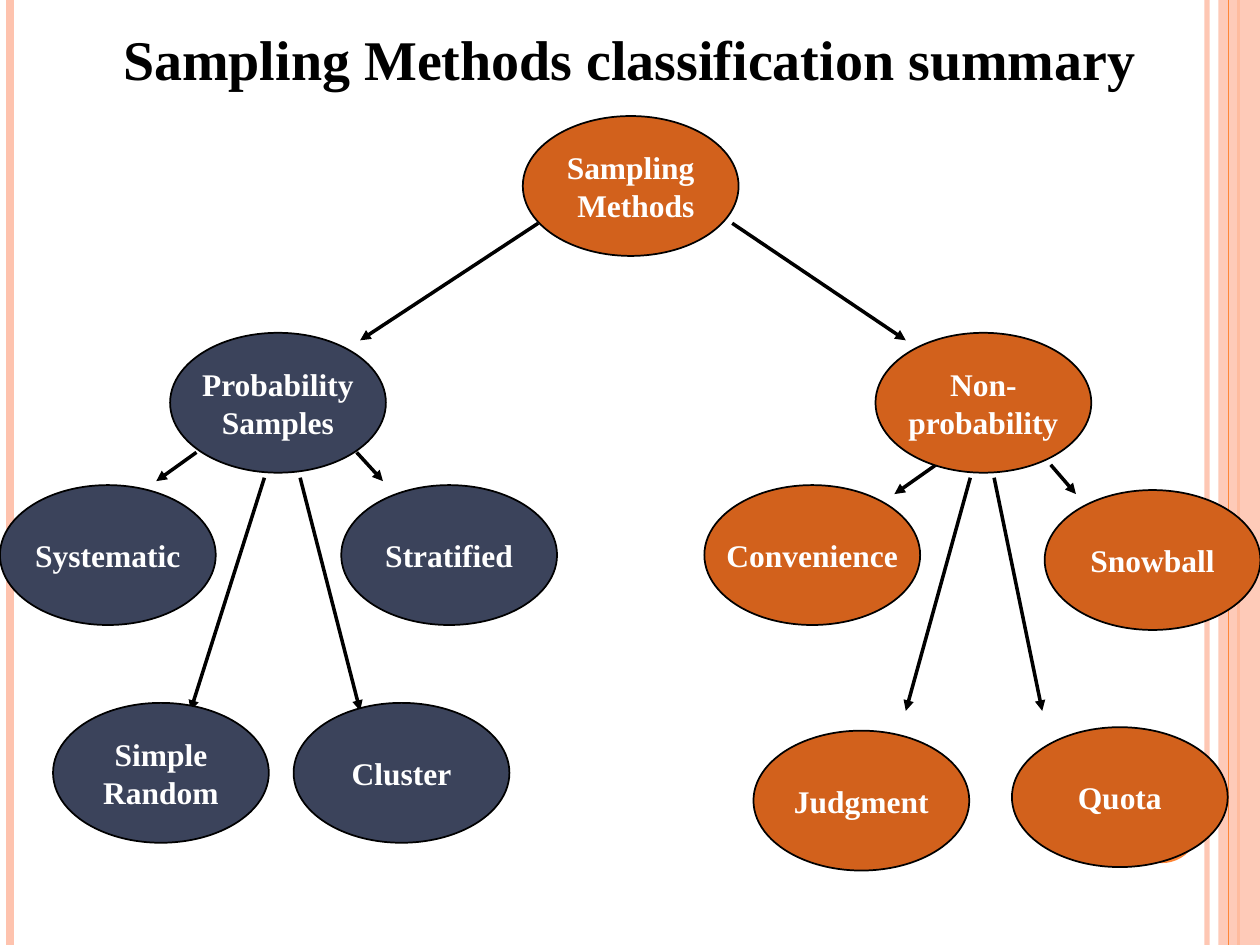
import dataclasses

import pptx
import pptx.dml.color
import pptx.enum.shapes
import pptx.enum.text
import pptx.oxml
import pptx.oxml.ns
import pptx.util

Cm = pptx.util.Cm
Pt = pptx.util.Pt
RGBColor = pptx.dml.color.RGBColor
Shape = pptx.enum.shapes.MSO_SHAPE
Align = pptx.enum.text.PP_ALIGN

BLACK = RGBColor(0x00, 0x00, 0x00)
WHITE = RGBColor(0xFF, 0xFF, 0xFF)
RUST = RGBColor(0xD2, 0x61, 0x1C)
NAVY = RGBColor(0x3B, 0x43, 0x5B)
PEACH = RGBColor(0xFE, 0xC3, 0xAE)
ORANGE = RGBColor(0xFE, 0x86, 0x37)
FONT = "Times New Roman"
WIDE, HIGH = 25.4, 19.05
NODE_W, NODE_H = 4.35, 2.82


@dataclasses.dataclass
class Node:
    text: str
    left: float
    top: float
    fill: RGBColor
    align: Align = Align.CENTER


@dataclasses.dataclass
class Line:
    x1: float
    y1: float
    x2: float
    y2: float
    color: RGBColor = BLACK
    width: float = 2
    alpha: int = 100
    arrow: bool = True


def stripe(x: float, color: RGBColor, width: float, alpha: int = 100) -> Line:
    return Line(x, 0, x, HIGH, color, width, alpha, False)


def fade(part, alpha: int) -> None:
    color = part.find(".//" + pptx.oxml.ns.qn("a:srgbClr"))
    tag = pptx.oxml.parse_xml(
        f'<a:alpha {pptx.oxml.ns.nsdecls("a")} val="{alpha * 1000}"/>')
    color.append(tag)


def style(frame, size: float, color: RGBColor, align: Align) -> None:
    frame.vertical_anchor = pptx.enum.text.MSO_ANCHOR.MIDDLE
    for para in frame.paragraphs:
        para.alignment = align
        for run in para.runs:
            run.font.name = FONT
            run.font.size = Pt(size)
            run.font.bold = True
            run.font.color.rgb = color


def draw_line(slide, line: Line) -> None:
    shape = slide.shapes.add_connector(
        pptx.enum.shapes.MSO_CONNECTOR.STRAIGHT,
        Cm(line.x1), Cm(line.y1), Cm(line.x2), Cm(line.y2))
    shape.line.color.rgb = line.color
    shape.line.width = Pt(line.width)
    names = pptx.oxml.ns.nsdecls("a")
    props = shape._element.spPr
    props.append(pptx.oxml.parse_xml(f"<a:effectLst {names}/>"))
    if line.alpha < 100:
        fade(props, line.alpha)
    if line.arrow:
        shape.line._get_or_add_ln().append(
            pptx.oxml.parse_xml(f'<a:tailEnd {names} type="triangle"/>'))


def draw_shape(slide, kind: Shape, left: float, top: float,
               width: float, height: float, fill: RGBColor):
    shape = slide.shapes.add_shape(
        kind, Cm(left), Cm(top), Cm(width), Cm(height))
    shape.shadow.inherit = False
    shape.fill.solid()
    shape.fill.fore_color.rgb = fill
    shape.line.fill.background()
    return shape


def draw_node(slide, node: Node) -> None:
    shape = draw_shape(slide, Shape.OVAL, node.left, node.top,
                       NODE_W, NODE_H, node.fill)
    shape.line.color.rgb = BLACK
    shape.line.width = Pt(1)
    frame = shape.text_frame
    frame.word_wrap = False
    frame.text = node.text
    style(frame, 18, WHITE, node.align)


LEFT = [stripe(24.33, PEACH, 3, 92), stripe(0.2, PEACH, 4.5),
        stripe(24.97, ORANGE, 1.5)]

ARROWS = [
    # Root to the two families
    Line(10.85, 4.5, 7.26, 6.86),
    Line(14.76, 4.5, 18.26, 6.86),
    # Probability branch
    Line(3.96, 9.12, 3.15, 9.7),
    Line(7.19, 9.12, 7.72, 9.7),
    Line(5.33, 9.63, 3.84, 14.33),
    Line(6.05, 9.63, 7.26, 14.33),
    # Non-probability branch
    Line(18.87, 9.37, 18.03, 9.96),
    Line(21.18, 9.37, 21.69, 9.96),
    Line(19.56, 9.63, 18.26, 14.33),
    Line(20.04, 9.63, 21.01, 14.33),
]

NODES = [
    Node("Sampling\nMethods", 10.54, 2.34, RUST, Align.RIGHT),
    Node("Probability\nSamples", 3.43, 6.71, NAVY),
    Node("Simple\nRandom", 1.07, 14.17, NAVY),
    Node("Cluster", 5.92, 14.17, NAVY),
    Node("Systematic", 0, 9.78, NAVY),
    Node("Stratified", 6.88, 9.78, NAVY),
    Node("Non-\nprobability", 17.65, 6.71, RUST),
    Node("Quota", 20.4, 14.66, RUST),
    Node("Judgment", 15.19, 14.73, RUST),
    Node("Convenience", 14.2, 9.78, RUST),
    Node("Snowball", 21.06, 9.88, RUST),
]


def main() -> None:
    deck = pptx.Presentation()
    deck.slide_width, deck.slide_height = Cm(WIDE), Cm(HIGH)
    slide = deck.slides.add_slide(deck.slide_layouts[5])

    # Side stripes and dot
    for line in LEFT:
        draw_line(slide, line)
    band = draw_shape(slide, Shape.RECTANGLE, 24.56, 0, 0.84, HIGH, PEACH)
    fade(band._element.spPr, 87)
    draw_line(slide, stripe(24.77, ORANGE, 0.75))
    draw_shape(slide, Shape.OVAL, 22.66, 15.88, 1.52, 1.52, ORANGE)

    # Title
    title = slide.shapes.title
    title.left, title.top = Cm(0), Cm(0)
    title.width, title.height = Cm(WIDE), Cm(2.34)
    title.text_frame.text = "Sampling Methods classification summary"
    title.text_frame.auto_size = pptx.enum.text.MSO_AUTO_SIZE.NONE
    style(title.text_frame, 32, BLACK, Align.CENTER)

    # Tree
    for line in ARROWS:
        draw_line(slide, line)
    for node in NODES:
        draw_node(slide, node)

    deck.save("out.pptx")


if __name__ == "__main__":
    main()
